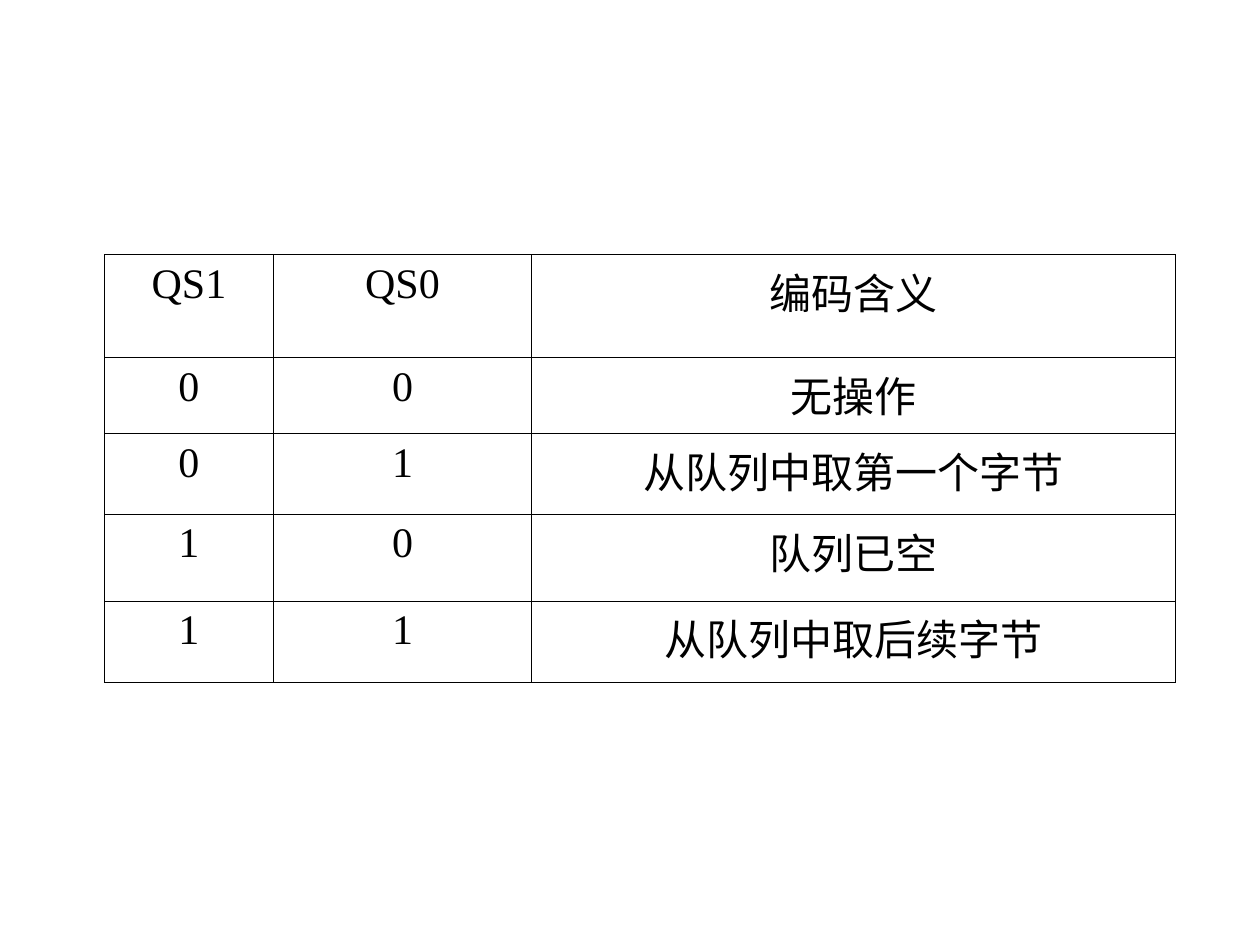
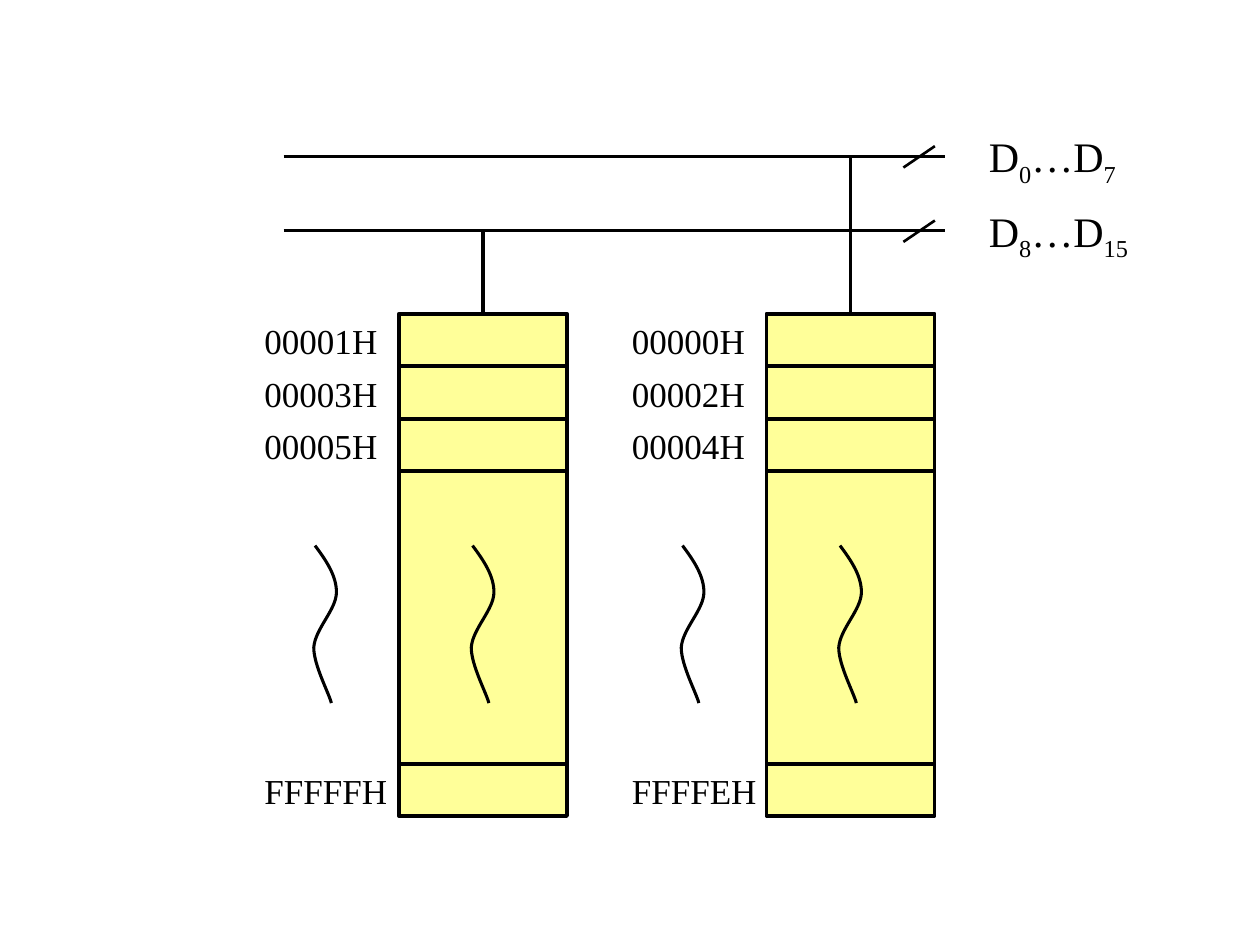
from lxml import etree
from pptx import Presentation
from pptx.dml.color import RGBColor
from pptx.enum.shapes import MSO_CONNECTOR, MSO_SHAPE
from pptx.enum.text import MSO_ANCHOR, MSO_AUTO_SIZE, PP_ALIGN
from pptx.oxml import parse_xml
from pptx.oxml.ns import nsdecls, qn
from pptx.util import Inches, Pt

STRAIGHT = MSO_CONNECTOR.STRAIGHT
RECTANGLE = MSO_SHAPE.RECTANGLE
TOP = MSO_ANCHOR.TOP
GROW = MSO_AUTO_SIZE.SHAPE_TO_FIT_TEXT
CENTER = PP_ALIGN.CENTER

COLORS = {"ink": "000000", "memory": "FFFF99"}
FONT = "Times New Roman"

COLUMN_WIDTHS = [1.34, 2.05, 5.11]
ROW_HEIGHTS = [0.82, 0.6, 0.64, 0.69, 0.65]
QUEUE_CODES = [
    ("QS1", "QS0", "编码含义"),
    ("0", "0", "无操作"),
    ("0", "1", "从队列中取第一个字节"),
    ("1", "0", "队列已空"),
    ("1", "1", "从队列中取后续字节"),
]

LABEL_WIDTH = 3.5 / 3
CELL_WIDTH, CELL_HEIGHT, GAP_HEIGHT = 4 / 3, 1.25 / 3, 2.32
BANK_PITCH = 2.5 * LABEL_WIDTH
WAVE_START = (0.01, 0)
WAVE_CONTROLS = [
    (0.1, 0.12), (0.18, 0.24), (0.18, 0.37),
    (0.18, 0.51), (0.01, 0.66), (0, 0.81),
    (0, 0.95), (0.12, 1.17), (0.14, 1.25),
]


def color(name):
    return RGBColor.from_string(COLORS[name])


def add_span(para, text, size, baseline=0):
    span = para.add_run()
    span.text = text
    span.font.name = FONT
    span.font.size = Pt(size)
    span.font.bold = False
    span.font.color.rgb = color("ink")
    if baseline:
        span.font._element.set("baseline", str(baseline * 1000))


def add_label(page, left, top, width, height, spans, size):
    box = page.shapes.add_textbox(Inches(left), Inches(top), Inches(width), Inches(height))
    frame = box.text_frame
    frame.word_wrap = True
    frame.auto_size = GROW
    for text, baseline in spans:
        add_span(frame.paragraphs[0], text, size, baseline)


def set_line(shape, weight):
    shape.line.color.rgb = color("ink")
    shape.line.width = Pt(weight)


def add_line(page, start, end, weight):
    line = page.shapes.add_connector(STRAIGHT, *[Inches(value) for value in (*start, *end)])
    set_line(line, weight)
    line._element.spPr.append(parse_xml(f"<a:effectLst {nsdecls('a')}/>"))
    return line


def add_memory_cell(page, left, top, height):
    cell = page.shapes.add_shape(
        RECTANGLE, Inches(left), Inches(top), Inches(CELL_WIDTH), Inches(height))
    cell.shadow.inherit = False
    cell.fill.solid()
    cell.fill.fore_color.rgb = color("memory")
    set_line(cell, 2.25)
    return cell


def bend_segments(shape):
    segments = list(shape._element.iter(qn("a:lnTo")))
    for first in range(0, len(segments), 3):
        curve = etree.Element(qn("a:cubicBezTo"))
        segments[first].addprevious(curve)
        for segment in segments[first:first + 3]:
            curve.append(segment[0])
            segment.getparent().remove(segment)


def add_wave(page, left, top):
    start, *controls = [
        (Inches(left + x), Inches(top + y)) for x, y in (WAVE_START, *WAVE_CONTROLS)]
    builder = page.shapes.build_freeform(*start)
    builder.add_line_segments(controls, close=False)
    wave = builder.convert_to_shape()
    bend_segments(wave)
    wave.shadow.inherit = False
    wave.fill.background()
    set_line(wave, 1.75)


def add_bus(page, left, top, low, high):
    add_line(page, (left, top), (left + 5.25, top), 1.75)
    spans = [("D", 0), (low, -25), ("…D", 0), (high, -25)]
    add_label(page, left + 5.5, top - 0.25, 1.67, 0.56, spans, 24)
    add_line(page, (left + 5.17, top - 0.08), (left + 4.92, top + 0.09), 1.5)


def add_memory_bank(page, left, top, addresses):
    cell_left = left + LABEL_WIDTH
    gap_top = top + 3 * CELL_HEIGHT
    cell_tops = [top + row * CELL_HEIGHT for row in range(3)] + [gap_top + GAP_HEIGHT]
    label_widths = [LABEL_WIDTH] * 3 + [CELL_WIDTH]
    cells = []
    for address, cell_top, label_width in zip(addresses, cell_tops, label_widths):
        cells.append(add_memory_cell(page, cell_left, cell_top, CELL_HEIGHT))
        add_label(page, left, cell_top, label_width, 0.44, [(address, 0)], 20)
    add_memory_cell(page, cell_left, gap_top, GAP_HEIGHT)
    for offset in (0.49, 1.74):
        add_wave(page, left + offset, top + 1.84)
    return cells[0]


def link_to_bus(page, cell, bus_top):
    middle = (cell.left + cell.width // 2) / Inches(1)
    link = add_line(page, (middle, cell.top / Inches(1)), (middle, bus_top), 2.25)
    link.begin_connect(cell, 0)


def add_borders(cell):
    properties = cell._tc.get_or_add_tcPr()
    for position, side in enumerate(("lnL", "lnR", "lnT", "lnB")):
        properties.insert(position, parse_xml(
            f'<a:{side} {nsdecls("a")} w="{Pt(0.45)}"><a:solidFill>'
            f'<a:srgbClr val="{COLORS["ink"]}"/></a:solidFill></a:{side}>'))


def add_code_table(page, left, top):
    frame = page.shapes.add_table(
        len(ROW_HEIGHTS), len(COLUMN_WIDTHS), Inches(left), Inches(top),
        Inches(sum(COLUMN_WIDTHS)), Inches(sum(ROW_HEIGHTS)))
    table = frame.table
    table.first_row = False
    table.horz_banding = False
    for column, width in zip(table.columns, COLUMN_WIDTHS):
        column.width = Inches(width)
    for row, height, texts in zip(table.rows, ROW_HEIGHTS, QUEUE_CODES):
        row.height = Inches(height)
        for cell, text in zip(row.cells, texts):
            cell.fill.background()
            cell.vertical_anchor = TOP
            para = cell.text_frame.paragraphs[0]
            para.alignment = CENTER
            add_span(para, text, 24)
            add_borders(cell)


def add_page(deck):
    return deck.slides.add_slide(deck.slide_layouts[6])


def build_queue_page(deck):
    add_code_table(add_page(deck), 0.83, 2.02)


def build_memory_page(deck):
    page = add_page(deck)
    low_bus, high_bus = 1.24, 1.83
    add_bus(page, 2.25, low_bus, "0", "7")
    add_bus(page, 2.25, high_bus, "8", "15")
    even_cell = add_memory_bank(
        page, 2 + BANK_PITCH, 2.49, ["00000H", "00002H", "00004H", "FFFFEH"])
    odd_cell = add_memory_bank(page, 2, 2.49, ["00001H", "00003H", "00005H", "FFFFFH"])
    link_to_bus(page, even_cell, low_bus)
    link_to_bus(page, odd_cell, high_bus)


def main():
    deck = Presentation()
    deck.slide_width = Inches(10)
    deck.slide_height = Inches(7.5)
    build_queue_page(deck)
    build_memory_page(deck)
    deck.save("out.pptx")


if __name__ == "__main__":
    main()
